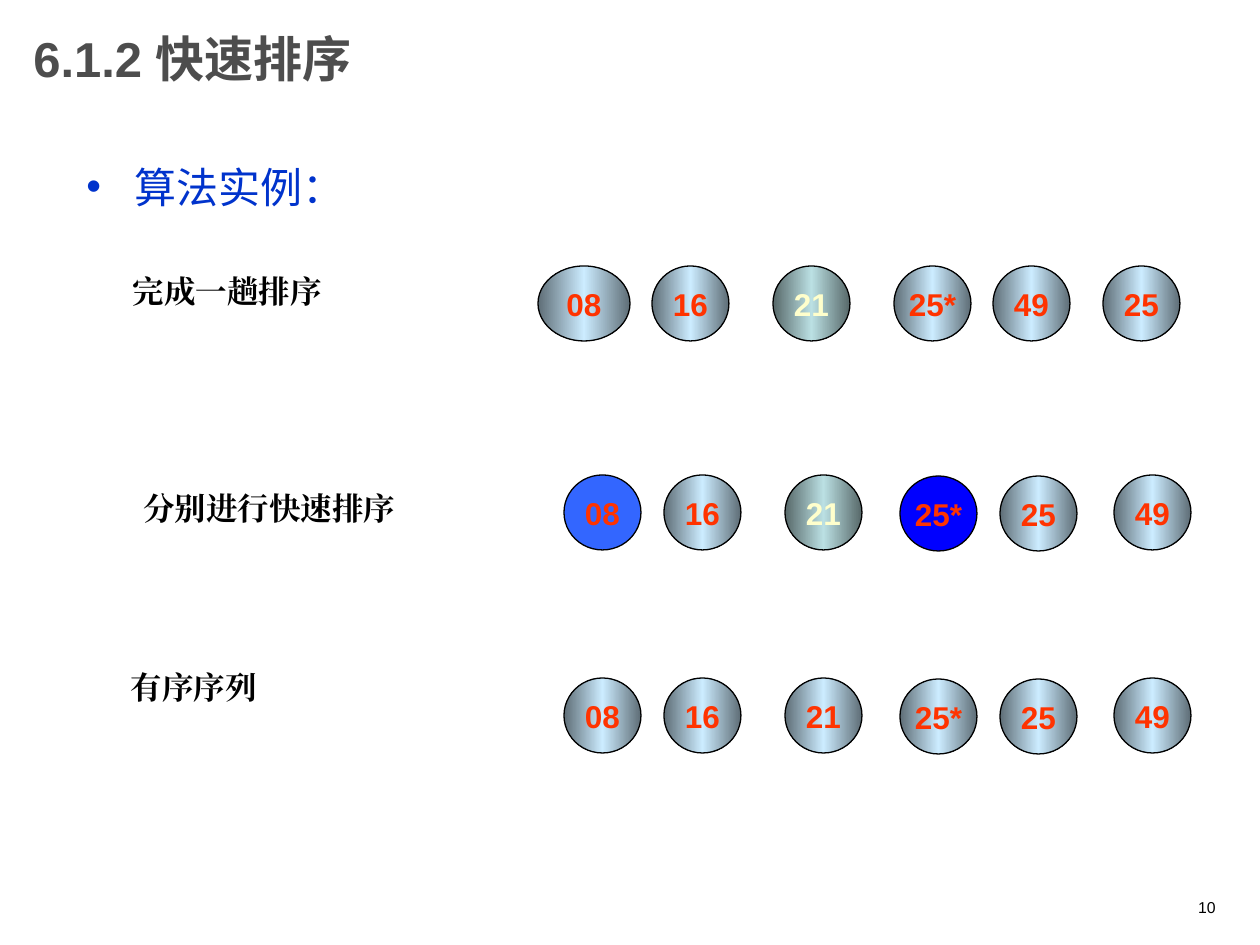
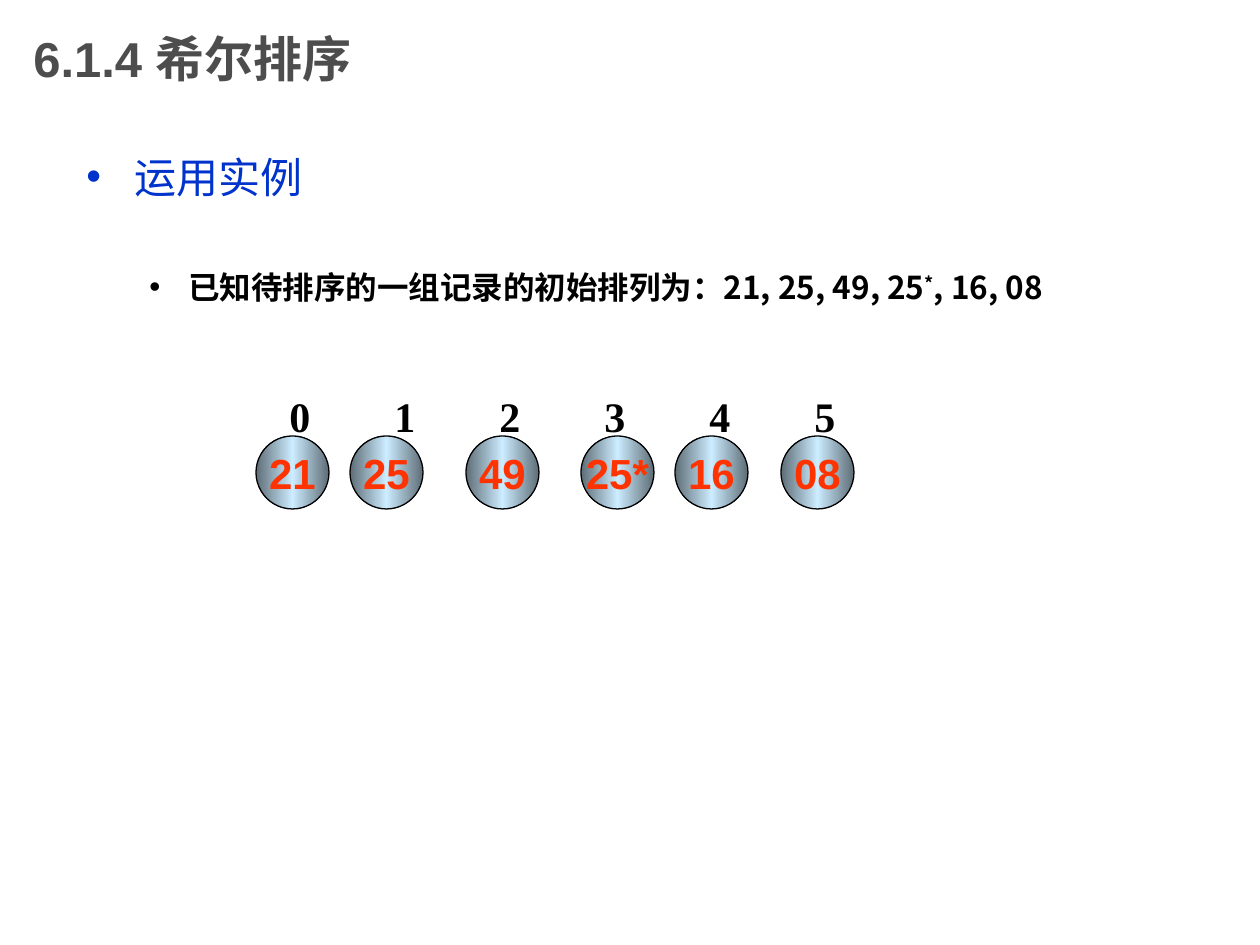
from copy import deepcopy
from pptx import Presentation
from pptx.dml.color import RGBColor
from pptx.enum.shapes import MSO_SHAPE
from pptx.enum.text import MSO_ANCHOR, PP_ALIGN
from pptx.oxml.ns import qn
from pptx.util import Emu, Pt
from lxml.etree import SubElement

SCALE = 914400 / 126
SANS, SERIF, CJK = "Arial", "Times New Roman", "Noto Sans CJK SC"
BLACK, GREY, BLUE, RED, CREAM = "000000", "4D4D4D", "0033CC", "FF3300", "FFFFCC"
STEEL = ("5E6D76", "CCECFF", "5E6D76")
TEAL = ("576869", "BBE0E3", "576869")

SORTED = ["08", "16", "21", "25*", "25", "49"]
LEFTS = [564, 664, 785, 900, 1000, 1114]
DROPS = [0, 0, 0, 1, 1, 0]
STEPS = [
    {"label": "完成一趟排序", "box": (50, 266, 355, 50), "top": 266,
     "keys": ["08", "16", "21", "25*", "49", "25"],
     "lefts": [538, 652, 773, 894, 993, 1103], "drops": [0] * 6,
     "fills": {2: TEAL}, "inks": {2: CREAM}, "wides": {0: 92}},
    {"label": "分别进行快速排序", "box": (39, 483, 460, 50), "top": 475,
     "keys": SORTED, "lefts": LEFTS, "drops": DROPS,
     "fills": {0: "3366FF", 2: TEAL, 3: "0000FF"}, "inks": {2: CREAM}, "wides": {}},
    {"label": "有序序列", "box": (63, 662, 262, 50), "top": 678,
     "keys": SORTED, "lefts": LEFTS, "drops": DROPS,
     "fills": {}, "inks": {}, "wides": {}},
]
START = ["21", "25", "49", "25*", "16", "08"]
SPOTS = [256, 350, 466, 581, 675, 781]
GIVEN = [("已知待排序的一组记录的初始排列为：21, 25, 49, 25", 0), ("*", 30000), (", 16, 08", 0)]
PITCH = 105


def px(n):
    return Emu(round(n * SCALE))


def rgb(text):
    return RGBColor.from_string(text)


def add_run(para, text, size, ink, bold=False, font=SANS):
    run = para.add_run()
    run.text = text
    face = run.font
    face.size, face.bold, face.name = Pt(size), bold, font
    face.color.rgb = rgb(ink)
    SubElement(run._r.get_or_add_rPr(), qn("a:ea")).set("typeface", font)
    return run


def add_box(slide, box, wrap=True, anchor=MSO_ANCHOR.TOP):
    frame = slide.shapes.add_textbox(*map(px, box)).text_frame
    frame.word_wrap = wrap
    frame.vertical_anchor = anchor
    return frame


def add_dot(para, ink, left, hang):
    props = para._p.get_or_add_pPr()
    props.set("marL", str(px(left)))
    props.set("indent", str(px(-hang)))
    tint = SubElement(props, qn("a:buClr"))
    SubElement(tint, qn("a:srgbClr")).set("val", ink)
    SubElement(props, qn("a:buFont")).set("typeface", SANS)
    SubElement(props, qn("a:buChar")).set("char", "•")


def add_tabs(para, count):
    tabs = SubElement(para._p.get_or_add_pPr(), qn("a:tabLst"))
    for n in range(1, count):
        tab = SubElement(tabs, qn("a:tab"))
        tab.set("pos", str(px(n * PITCH)))
        tab.set("algn", "l")


def paint(shape, tone):
    fill = shape.fill
    if isinstance(tone, str):
        fill.solid()
        fill.fore_color.rgb = rgb(tone)
        return
    fill.gradient()
    fill.gradient_angle = 0
    stops = shape._element.spPr.find(".//" + qn("a:gsLst"))
    stops.insert(1, deepcopy(stops[0]))
    for n, (stop, ink) in enumerate(zip(fill.gradient_stops, tone)):
        stop.position = n / 2
        stop.color.rgb = rgb(ink)


def add_ball(slide, key, box, size, tone=STEEL, ink=RED):
    ball = slide.shapes.add_shape(MSO_SHAPE.OVAL, *map(px, box))
    ball.shadow.inherit = False
    paint(ball, tone)
    ball.line.color.rgb = rgb(BLACK)
    ball.line.width = Pt(0.75)
    frame = ball.text_frame
    frame.word_wrap = False
    frame.vertical_anchor = MSO_ANCHOR.MIDDLE
    para = frame.paragraphs[0]
    para.alignment = PP_ALIGN.CENTER
    add_run(para, key, size, ink, True)


def add_page(deck, title, head, box):
    slide = deck.slides.add_slide(deck.slide_layouts[6])
    bar = add_box(slide, (21, 0, 945, 116), anchor=MSO_ANCHOR.MIDDLE)
    add_run(bar.paragraphs[0], title, 28, GREY, True)
    body = add_box(slide, box)
    para = body.paragraphs[0]
    para.space_before = Pt(6)
    add_dot(para, BLUE, 48, 48)
    add_run(para, head, 24, BLUE)
    return slide, body


def add_quick(deck):
    slide, _ = add_page(deck, "6.1.2 快速排序", "算法实例：", (74, 155, 1160, 665))
    page = add_box(slide, (1155, 892, 73, 42)).paragraphs[0]
    page.alignment = PP_ALIGN.RIGHT
    add_run(page, "10", 9, BLACK)
    for step in STEPS:
        para = add_box(slide, step["box"]).paragraphs[0]
        para.alignment = PP_ALIGN.CENTER
        add_run(para, step["label"], 18, BLACK, True, SERIF)
        for n, key in enumerate(step["keys"]):
            box = (step["lefts"][n], step["top"] + step["drops"][n],
                   step["wides"].get(n, 77), 75)
            add_ball(slide, key, box, 18,
                     step["fills"].get(n, STEEL), step["inks"].get(n, RED))


def add_shell(deck):
    slide, body = add_page(deck, "6.1.4 希尔排序", "运用实例", (74, 145, 1071, 684))
    para = body.add_paragraph()
    para.level = 1
    para.space_before = Pt(38)
    add_dot(para, BLACK, 102, 39)
    for text, lift in GIVEN:
        run = add_run(para, text, 18, BLACK, True, CJK)
        if lift:
            run.font._element.set("baseline", str(lift))
    marks = add_box(slide, (277, 384, 614, 63), False).paragraphs[0]
    add_tabs(marks, len(START))
    add_run(marks, "\t".join(map(str, range(len(START)))), 24, BLACK, True, SERIF)
    for key, left in zip(START, SPOTS):
        add_ball(slide, key, (left, 436, 73, 73), 24)


def main():
    deck = Presentation()
    deck.slide_width, deck.slide_height = px(1260), px(945)
    add_quick(deck)
    add_shell(deck)
    deck.save("out.pptx")


if __name__ == "__main__":
    main()
